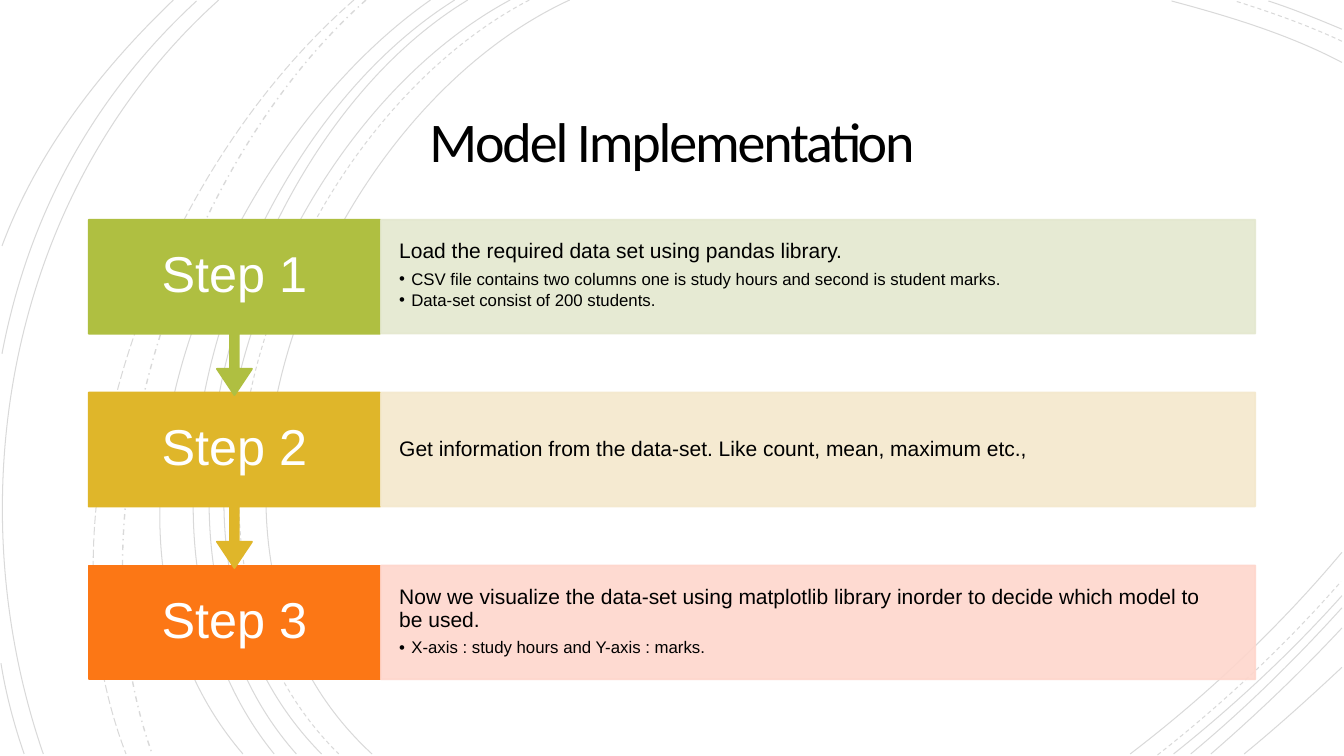
"""Build the Model Implementation slide: three linked steps over a backdrop of thin arcs."""
from lxml import etree
from pptx import Presentation
from pptx.dml.color import RGBColor
from pptx.enum import dml, shapes, text
from pptx.oxml import ns
from pptx.util import Inches, Pt

BLACK = RGBColor(0x00, 0x00, 0x00)
WHITE = RGBColor(0xFF, 0xFF, 0xFF)
GREEN, PALE_GREEN = RGBColor(0xAF, 0xBF, 0x41), RGBColor(0xE4, 0xE8, 0xCF)
GOLD, PALE_GOLD = RGBColor(0xDF, 0xB6, 0x2A), RGBColor(0xF4, 0xE8, 0xCC)
ORANGE, PALE_ORANGE = RGBColor(0xFC, 0x77, 0x15), RGBColor(0xFE, 0xD6, 0xCC)

TITLE = "Model Implementation"
STEPS = [
    ("Step 1", GREEN, PALE_GREEN, "Load the required data set using pandas library.",
     ["CSV file contains two columns one is study hours and second is student marks.",
      "Data-set consist of 200 students."]),
    ("Step 2", GOLD, PALE_GOLD,
     "Get information from the data-set. Like count, mean, maximum etc.,", []),
    ("Step 3", ORANGE, PALE_ORANGE,
     "Now we visualize the data-set using matplotlib library inorder to decide "
     "which model to be\u00a0used.",
     ["X-axis : study hours and Y-axis : marks."]),
]

# Each arc is a cubic curve: start, two control points, end.
ARCS = {
    dml.MSO_LINE.SOLID: [
        ((5.65, 0), (3.15, 1.15), (1.43, 5.4), (3.69, 7.48)),
        ((5.06, 0), (2.7, 1.27), (1.1, 5.37), (3.19, 7.48)),
        ((4.64, 0), (2.44, 1.33), (1.1, 5.41), (2.94, 7.48)),
        ((4.51, 0), (2.31, 1.38), (0.97, 5.33), (2.72, 7.48)),
        ((4.27, 0), (2.17, 1.47), (0.53, 5.29), (2.41, 7.48)),
        ((2.17, 0), (0.11, 1.85), (-0.46, 4.9), (0.43, 7.48)),
        ((1.95, 0.01), (0.92, 0.96), (0.28, 2.14), (0.02, 3.51)),
        ((1.72, 0), (1, 0.69), (0.37, 1.5), (0.02, 2.44)),
        ((0.01, 6.58), (0.06, 6.89), (0.14, 7.19), (0.24, 7.48)),
        ((13.31, 0.62), (12.78, 0.34), (12.18, 0.16), (11.62, 0.01)),
        ((13.31, 0.29), (13.07, 0.19), (12.83, 0.09), (12.58, 0.01)),
        ((11.21, 7.48), (11.97, 6.9), (12.69, 6.22), (13.31, 5.48)),
        ((11.64, 7.48), (12.23, 7.01), (12.8, 6.48), (13.31, 5.91)),
        ((11.81, 7.48), (12.34, 7.04), (12.84, 6.55), (13.31, 6.03)),
        ((12.01, 7.48), (12.46, 7.09), (12.9, 6.67), (13.31, 6.23)),
        ((12.34, 7.48), (12.67, 7.21), (12.99, 6.92), (13.31, 6.62)),
    ],
    dml.MSO_LINE.DASH: [
        ((5.25, 0), (2.85, 1.25), (1.23, 5.37), (3.36, 7.48)),
        ((13.31, 0.41), (12.97, 0.25), (12.6, 0.12), (12.25, 0.01)),
        ((11.48, 7.49), (12.13, 6.98), (12.75, 6.4), (13.3, 5.77)),
    ],
    dml.MSO_LINE.DASH_DOT: [((3.63, 0), (1.76, 1.66), (0.65, 5.09), (1.51, 7.48))],
    dml.MSO_LINE.LONG_DASH: [((3.51, 0), (1.57, 1.69), (0.29, 4.99), (1.25, 7.48))],
}

LABEL_LEFT, LABEL_WIDTH = 0.88, 2.89
PANEL_LEFT, PANEL_WIDTH = 3.78, 8.67
FIRST_TOP, LAST_TOP = 2.18, 5.61
STEP_PITCH = (LAST_TOP - FIRST_TOP) / (len(STEPS) - 1)
STEP_HEIGHT, CALLOUT_HEIGHT = 1.13, 1.74
CALLOUT_ADJUSTMENTS = (0.05, 0.1, 0.15, 0.65)


def set_opacity(shape, percent):
    for color in shape._element.spPr.iter(ns.qn("a:srgbClr")):
        etree.SubElement(color, ns.qn("a:alpha"), val=str(percent * 1000))


def bend(outline):
    segments = list(outline._element.spPr.iter(ns.qn("a:lnTo")))
    curve = etree.SubElement(segments[0].getparent(), ns.qn("a:cubicBezTo"))
    for segment in segments:
        curve.append(segment[0])
        segment.getparent().remove(segment)


def add_arc(page, points, dash):
    start, *others = [tuple(map(Inches, point)) for point in points]
    builder = page.shapes.build_freeform(*start)
    builder.add_line_segments(others, close=False)
    arc = builder.convert_to_shape()
    bend(arc)
    arc.shadow.inherit = False
    arc.fill.background()
    arc.line.color.rgb = BLACK
    arc.line.width = Pt(1 if dash == dml.MSO_LINE.DASH_DOT else 0.75)
    arc.line.dash_style = dash
    set_opacity(arc, 15)


def add_block(page, kind, left, top, width, height, color):
    block = page.shapes.add_shape(kind, Inches(left), Inches(top), Inches(width), Inches(height))
    block.shadow.inherit = False
    block.fill.solid()
    block.fill.fore_color.rgb = color
    block.line.color.rgb = color
    block.line.width = Pt(1.25)
    return block


def set_frame(box, side, end, anchor):
    frame = box.text_frame
    frame.word_wrap = True
    frame.auto_size = text.MSO_AUTO_SIZE.NONE
    frame.vertical_anchor = anchor
    frame.margin_left = frame.margin_right = Inches(side)
    frame.margin_top = frame.margin_bottom = Inches(end)
    return frame


def format_paragraph(para, size, color, align, spacing=0.9, after=0.0, font="Arial"):
    para.alignment = align
    para.line_spacing = spacing
    para.space_before = Pt(0)
    para.space_after = Pt(size * after)
    for span in para.runs:
        span.font.name = font
        span.font.size = Pt(size)
        span.font.color.rgb = color


def add_bullet(para):
    properties = para._p.get_or_add_pPr()
    properties.set("marL", str(Inches(0.12)))
    properties.set("indent", str(-Inches(0.12)))
    etree.SubElement(properties, ns.qn("a:buFont"), typeface="Arial")
    etree.SubElement(properties, ns.qn("a:buChar"), char="•")


def add_label(page, name, color, top, is_last):
    if is_last:
        add_block(page, shapes.MSO_SHAPE.RECTANGLE, LABEL_LEFT, top, LABEL_WIDTH,
                  STEP_HEIGHT, color)
    else:
        callout = add_block(page, shapes.MSO_SHAPE.UP_ARROW_CALLOUT, LABEL_LEFT, top,
                            LABEL_WIDTH, CALLOUT_HEIGHT, color)
        callout.rotation = 180
        for index, value in enumerate(CALLOUT_ADJUSTMENTS):
            callout.adjustments[index] = value
    box = page.shapes.add_textbox(Inches(LABEL_LEFT), Inches(top), Inches(LABEL_WIDTH),
                                  Inches(STEP_HEIGHT))
    frame = set_frame(box, 0.21, 0.28, text.MSO_ANCHOR.MIDDLE)
    frame.text = name
    format_paragraph(frame.paragraphs[0], 36, WHITE, text.PP_ALIGN.CENTER)


def add_panel(page, heading, bullets, color, top):
    panel = add_block(page, shapes.MSO_SHAPE.RECTANGLE, PANEL_LEFT, top, PANEL_WIDTH,
                      STEP_HEIGHT, color)
    set_opacity(panel, 90)
    anchor = text.MSO_ANCHOR.TOP if bullets else text.MSO_ANCHOR.MIDDLE
    frame = set_frame(panel, 0.18, 0.21, anchor)
    frame.text = "\n".join([heading, *bullets])
    first, *rest = frame.paragraphs
    format_paragraph(first, 15, BLACK, text.PP_ALIGN.LEFT, after=0.35)
    for para in rest:
        para.level = 1
        format_paragraph(para, 12, BLACK, text.PP_ALIGN.LEFT, after=0.15)
        add_bullet(para)


def add_title(page):
    title = page.shapes.title
    page.shapes._spTree.append(title._element)
    title.left, title.top, title.width, title.height = map(Inches, (1.92, 0.87, 9.49, 1.15))
    frame = set_frame(title, 0.25, 0.25, text.MSO_ANCHOR.MIDDLE)
    frame.text = TITLE
    para = frame.paragraphs[0]
    format_paragraph(para, 40, BLACK, text.PP_ALIGN.CENTER, spacing=0.85, font="Calibri")
    para.runs[0].font._element.set("spc", "-150")


deck = Presentation()
deck.slide_width, deck.slide_height = Inches(13.33), Inches(7.5)
page = deck.slides.add_slide(deck.slide_layouts[5])
backdrop = add_block(page, shapes.MSO_SHAPE.RECTANGLE, 0, 0, 13.33, 7.5, WHITE)
backdrop.line.fill.background()
for dash, arcs in ARCS.items():
    for points in arcs:
        add_arc(page, points, dash)
add_title(page)
for index, (name, color, pale, heading, bullets) in reversed(list(enumerate(STEPS))):
    top = FIRST_TOP + index * STEP_PITCH
    add_label(page, name, color, top, index == len(STEPS) - 1)
    add_panel(page, heading, bullets, pale, top)
deck.save("out.pptx")
